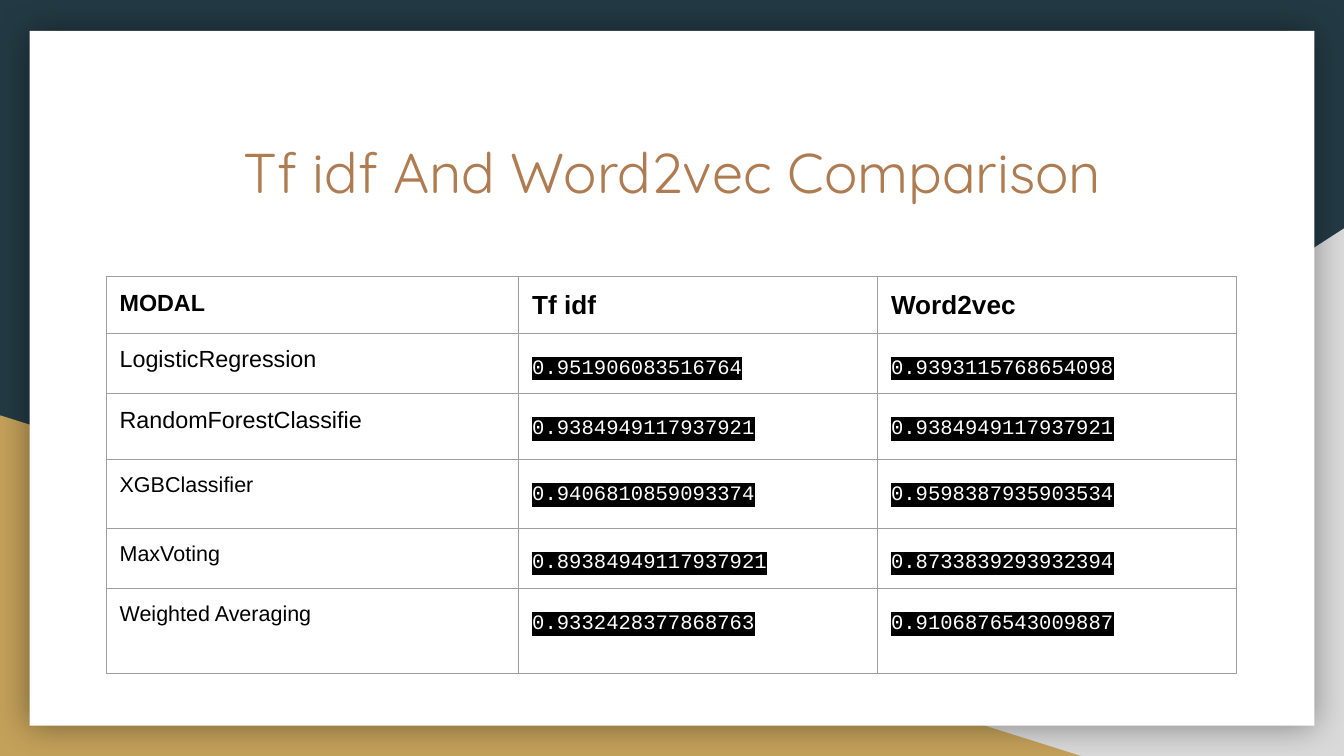
from lxml import etree
from pptx import Presentation
from pptx.dml.color import RGBColor
from pptx.enum.shapes import MSO_SHAPE
from pptx.enum.text import MSO_ANCHOR, PP_ALIGN
from pptx.oxml.ns import qn
from pptx.util import Inches, Pt

RECTANGLE = MSO_SHAPE.RECTANGLE
RIGHT_TRIANGLE = MSO_SHAPE.RIGHT_TRIANGLE
TOP = MSO_ANCHOR.TOP
CENTER = PP_ALIGN.CENTER
TITLE_ONLY = 5

NAVY, GREY, GOLD = "233A44", "D9D9D9", "C4A15A"
WHITE, BLACK, BROWN, BORDER = "FFFFFF", "000000", "AF7B51", "9E9E9E"

COLUMN_WIDTHS = [3.07, 2.67, 2.67]
ROW_HEIGHTS = [0.42, 0.45, 0.49, 0.51, 0.45, 0.63]
HEADERS = ["MODAL", "Tf idf", "Word2vec"]
HEADER_SIZES = [12.5, 14, 14]
MODELS = [
    ("LogisticRegression", 12.5, "0.951906083516764", "0.9393115768654098"),
    ("RandomForestClassifie", 12.5, "0.9384949117937921", "0.9384949117937921"),
    ("XGBClassifier", 11.5, "0.9406810859093374", "0.9598387935903534"),
    ("MaxVoting", 11.5, "0.89384949117937921", "0.8733839293932394"),
    ("Weighted Averaging", 11.5, "0.9332428377868763", "0.9106876543009887"),
]


def rgb(color):
    return RGBColor.from_string(color)


def add_color(parent, color):
    """Append an a:srgbClr element to an XML parent and return it."""
    return etree.SubElement(parent, qn("a:srgbClr"), val=color)


def write_text(text_frame, text, size, font="Arial", color=BLACK, bold=False,
               align=None, line_spacing=None, space_after=0, highlight=None):
    paragraph = text_frame.paragraphs[0]
    paragraph.alignment = align
    paragraph.line_spacing = line_spacing
    paragraph.space_after = Pt(space_after)
    run = paragraph.add_run()
    run.text = text
    run.font.size = Pt(size)
    run.font.name = font
    run.font.bold = bold
    run.font.color.rgb = rgb(color)
    if highlight:
        fill = run._r.get_or_add_rPr().find(qn("a:solidFill"))
        marker = etree.Element(qn("a:highlight"))
        add_color(marker, highlight)
        fill.addnext(marker)


def set_margins(target):
    for side in ("left", "top", "right", "bottom"):
        setattr(target, f"margin_{side}", Inches(0.1))


def add_panel(slide, kind, left, top, width, height, color, flip=False):
    shape = slide.shapes.add_shape(
        kind, Inches(left), Inches(top), Inches(width), Inches(height))
    shape.shadow.inherit = False
    shape.fill.solid()
    shape.fill.fore_color.rgb = rgb(color)
    shape.line.fill.background()
    if flip:
        shape.element.spPr.find(qn("a:xfrm")).set("flipH", "1")
    return shape


def add_glow_shadow(shape):
    """Give the shape a soft shadow spreading evenly on all sides."""
    effects = shape.element.spPr.find(qn("a:effectLst"))
    shadow = etree.SubElement(effects, qn("a:outerShdw"), blurRad=str(Pt(18)),
                              dist="0", dir="0", algn="ctr", rotWithShape="0")
    etree.SubElement(add_color(shadow, BLACK), qn("a:alpha"), val="40000")


def add_background(slide):
    slide.background.fill.solid()
    slide.background.fill.fore_color.rgb = rgb(NAVY)
    add_panel(slide, RIGHT_TRIANGLE, 3.92, 1.7, 6.08, 3.93, GREY, flip=True)
    add_panel(slide, RIGHT_TRIANGLE, 0, 3.09, 8.06, 2.54, GOLD)
    add_glow_shadow(add_panel(slide, RECTANGLE, 0.22, 0.23, 9.56, 5.17, WHITE))


def format_title(slide, text):
    title = slide.shapes.title
    title.left, title.top = Inches(0.9), Inches(0.92)
    title.width, title.height = Inches(8.21), Inches(1.04)
    text_frame = title.text_frame
    text_frame.word_wrap = True
    text_frame.vertical_anchor = TOP
    set_margins(text_frame)
    write_text(text_frame, text, 30, font="Quicksand", color=BROWN, align=CENTER)
    # Bring the title in front of the background panels.
    slide.shapes.element.append(title.element)


def set_borders(cell):
    properties = cell._tc.get_or_add_tcPr()
    for position, side in enumerate(("lnL", "lnR", "lnT", "lnB")):
        line = etree.Element(qn(f"a:{side}"), w=str(Pt(0.75)))
        add_color(etree.SubElement(line, qn("a:solidFill")), BORDER)
        properties.insert(position, line)


def fill_cell(cell, text, size, **text_format):
    set_margins(cell)
    cell.vertical_anchor = TOP
    cell.fill.background()
    set_borders(cell)
    write_text(cell.text_frame, text, size, **text_format)


def add_comparison_table(slide):
    table = slide.shapes.add_table(
        len(ROW_HEIGHTS), len(COLUMN_WIDTHS), Inches(0.79), Inches(2.06),
        Inches(sum(COLUMN_WIDTHS)), Inches(sum(ROW_HEIGHTS))).table
    table.first_row = False
    table.horz_banding = False
    for column, width in zip(table.columns, COLUMN_WIDTHS):
        column.width = Inches(width)
    for row, height in zip(table.rows, ROW_HEIGHTS):
        row.height = Inches(height)

    for column, (header, size) in enumerate(zip(HEADERS, HEADER_SIZES)):
        fill_cell(table.cell(0, column), header, size, bold=True,
                  space_after=0 if column else 6)
    for row, (model, size, *scores) in enumerate(MODELS, start=1):
        fill_cell(table.cell(row, 0), model, size, space_after=6)
        for column, score in enumerate(scores, start=1):
            fill_cell(table.cell(row, column), score, 11, font="Courier New",
                      color=WHITE, highlight=BLACK, line_spacing=1.43)


def main():
    presentation = Presentation()
    presentation.slide_width = Inches(10)
    # Widescreen, 16:9.
    presentation.slide_height = presentation.slide_width * 9 // 16
    slide = presentation.slides.add_slide(presentation.slide_layouts[TITLE_ONLY])
    add_background(slide)
    format_title(slide, "Tf idf And Word2vec Comparison")
    add_comparison_table(slide)
    presentation.save("out.pptx")


if __name__ == "__main__":
    main()
